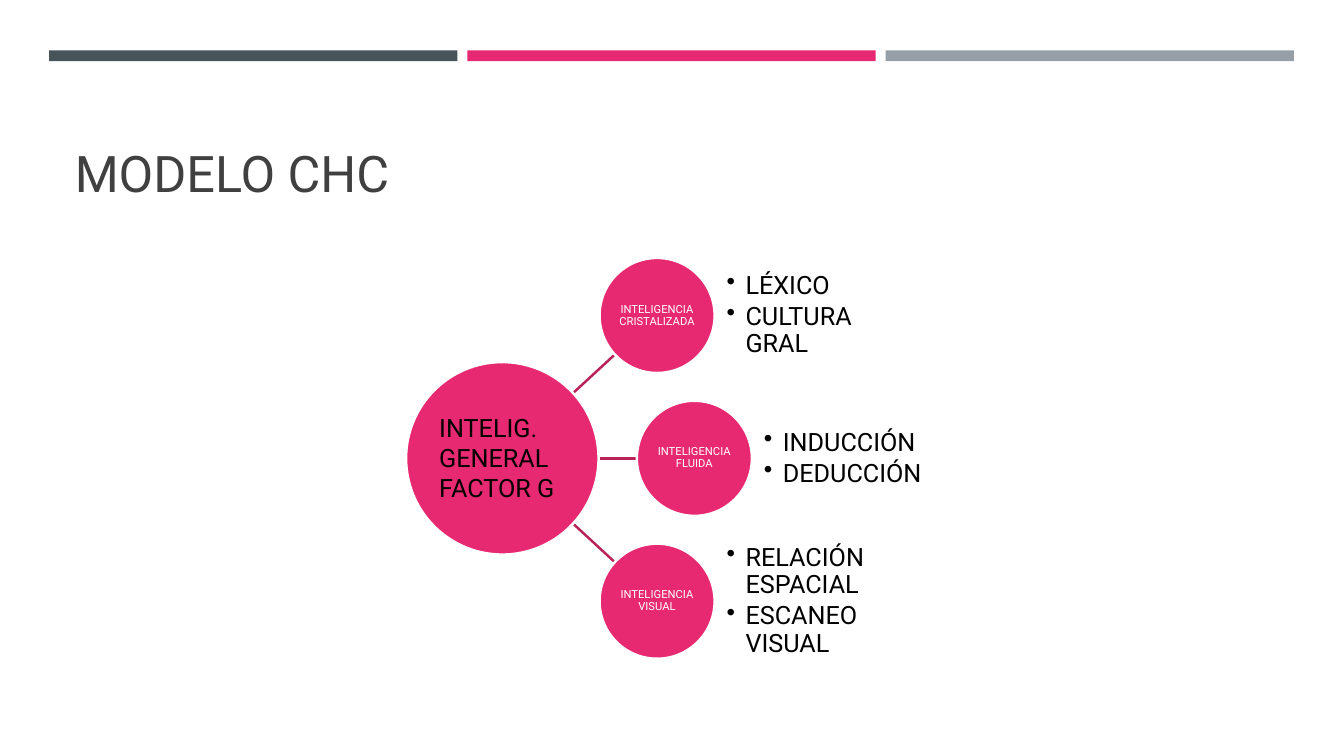
from math import hypot

from lxml.etree import SubElement
from pptx import Presentation
from pptx.dml.color import RGBColor
from pptx.enum.shapes import MSO_CONNECTOR as CONNECTOR, MSO_SHAPE as SHAPE
from pptx.enum.text import MSO_ANCHOR as ANCHOR, MSO_AUTO_SIZE as AUTO_SIZE, PP_ALIGN as ALIGN
from pptx.oxml.ns import qn
from pptx.util import Cm, Pt

TITLE = "MODELO CHC"
HUB_LINES = ["INTELIG. GENERAL", "FACTOR G"]
BRANCHES = [
    ("INTELIGENCIA CRISTALIZADA", ["LÉXICO", "CULTURA GRAL"], 16.56),
    ("INTELIGENCIA FLUIDA", ["INDUCCIÓN", "DEDUCCIÓN"], 17.5),
    ("INTELIGENCIA VISUAL", ["RELACIÓN ESPACIAL", "ESCANEO VISUAL"], 16.56),
]
BAR_COLORS = ["465359", "E72972", "969FA7"]
PINK, DARK_PINK, WHITE, BLACK, GRAY = "E72972", "B9215B", "FFFFFF", "000000", "404040"
FONT = "Roboto"

BAR_LEFT, BAR_TOP, BAR_WIDTH, BAR_HEIGHT, BAR_STEP = 1.24, 1.27, 10.29, 0.27, 10.54
HUB_X, HUB_Y, HUB_SIZE = 12.66, 11.55, 4.85
NODE_SIZE, NODE_STEP = 2.9, 3.6
LINK_START_X = 14.35
LIST_GAP, LIST_WIDTH, LIST_INDENT = 0.3, 4.37, 0.48


def color(value):
    return RGBColor.from_string(value)


def add_block(shape_kind, left, top, width, height, fill):
    block = slide.shapes.add_shape(shape_kind, Cm(left), Cm(top), Cm(width), Cm(height))
    block.shadow.inherit = False
    block.fill.solid()
    block.fill.fore_color.rgb = color(fill)
    block.line.fill.background()
    return block


def add_circle(x, y, size):
    circle = add_block(SHAPE.OVAL, x - size / 2, y - size / 2, size, size, PINK)
    circle.line.color.rgb = color(WHITE)
    circle.line.width = Pt(1.75)
    return circle


def add_link(x, y):
    dx, dy = x - HUB_X, y - HUB_Y
    start = (LINK_START_X - HUB_X) / dx
    end = 1 - NODE_SIZE / 2 / hypot(dx, dy)
    link = slide.shapes.add_connector(
        CONNECTOR.STRAIGHT,
        Cm(HUB_X + dx * start), Cm(HUB_Y + dy * start),
        Cm(HUB_X + dx * end), Cm(HUB_Y + dy * end),
    )
    link.line.color.rgb = color(DARK_PINK)
    link.line.width = Pt(1.75)
    SubElement(link.element.spPr, qn("a:effectLst"))


def write(frame, lines, size, ink, align=ALIGN.LEFT, spacing=None, after=0):
    frame.word_wrap = True
    for index, line in enumerate(lines):
        paragraph = frame.add_paragraph() if index else frame.paragraphs[0]
        paragraph.alignment = align
        paragraph.line_spacing = spacing
        paragraph.space_after = Pt(after)
        run = paragraph.add_run()
        run.text = line
        run.font.name = FONT
        run.font.size = Pt(size)
        run.font.color.rgb = color(ink)


def set_margins(frame, margin):
    frame.margin_left = frame.margin_right = Cm(margin)
    frame.margin_top = frame.margin_bottom = Cm(margin)
    frame.vertical_anchor = ANCHOR.MIDDLE


def add_bullets(frame):
    for paragraph in frame.paragraphs:
        properties = paragraph._p.get_or_add_pPr()
        properties.set("marL", str(Cm(LIST_INDENT)))
        properties.set("indent", str(-Cm(LIST_INDENT)))
        SubElement(properties, qn("a:buChar"), char="•")


deck = Presentation()
deck.slide_width, deck.slide_height = Cm(33.87), Cm(19.05)
slide = deck.slides.add_slide(deck.slide_layouts[5])

for column, fill in enumerate(BAR_COLORS):
    add_block(SHAPE.RECTANGLE, BAR_LEFT + column * BAR_STEP, BAR_TOP, BAR_WIDTH, BAR_HEIGHT, fill)

title = slide.shapes.title
title.left, title.top, title.width, title.height = Cm(1.63), Cm(1.96), Cm(30.63), Cm(3.3)
title.text_frame.auto_size = AUTO_SIZE.NONE
title.text_frame.vertical_anchor = ANCHOR.BOTTOM
write(title.text_frame, [TITLE], 36, GRAY, spacing=0.9)

nodes = [
    (label, skills, x, HUB_Y + (row - 1) * NODE_STEP)
    for row, (label, skills, x) in enumerate(BRANCHES)
]
for label, skills, x, y in nodes:
    add_link(x, y)

add_circle(HUB_X, HUB_Y, HUB_SIZE)

for label, skills, x, y in nodes:
    node_frame = add_circle(x, y, NODE_SIZE).text_frame
    set_margins(node_frame, 0.03)
    write(node_frame, [label], 8, WHITE, ALIGN.CENTER, 0.9)

    skill_list = slide.shapes.add_textbox(
        Cm(x + NODE_SIZE / 2 + LIST_GAP), Cm(y - NODE_SIZE / 2), Cm(LIST_WIDTH), Cm(NODE_SIZE)
    )
    set_margins(skill_list.text_frame, 0)
    write(skill_list.text_frame, skills, 18, BLACK, spacing=0.9, after=2.7)
    add_bullets(skill_list.text_frame)

hub_label = slide.shapes.add_textbox(Cm(10.82), Cm(10.26), Cm(4.27), Cm(2.57))
write(hub_label.text_frame, HUB_LINES, 18, BLACK)

deck.save("out.pptx")
